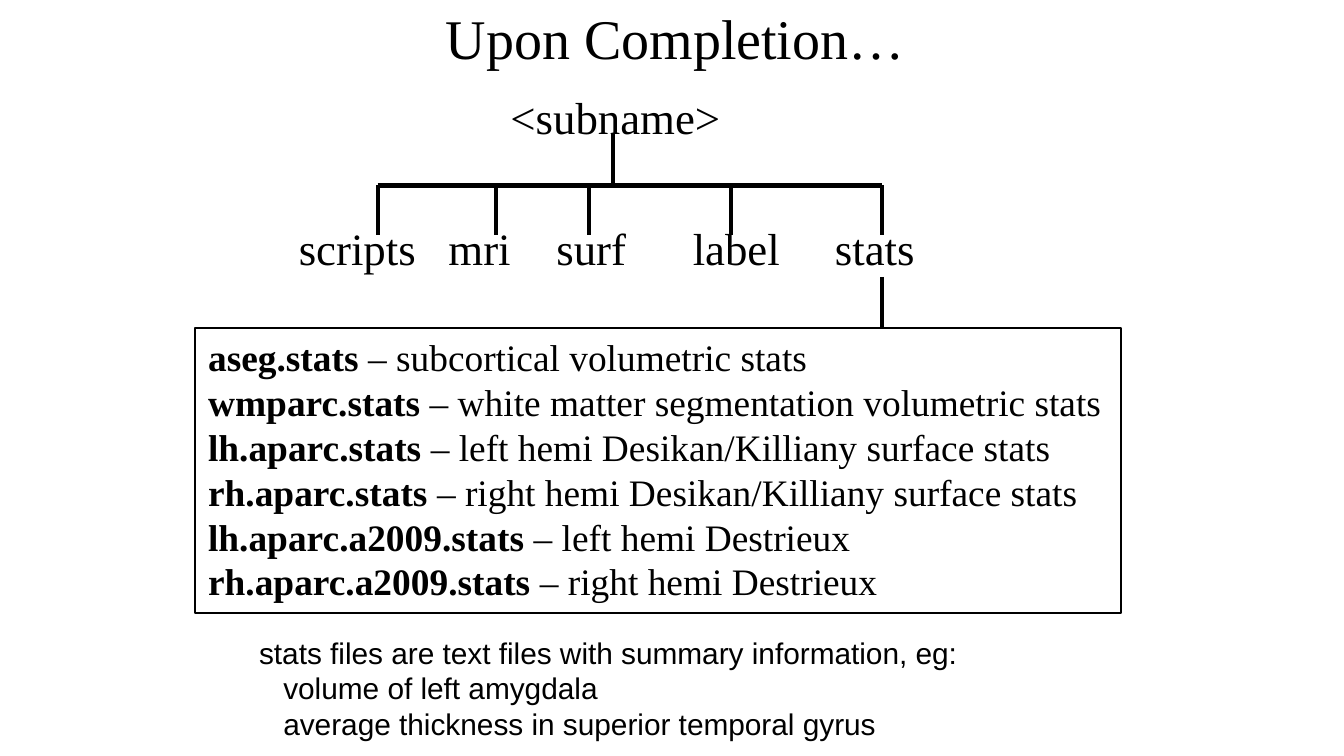
from lxml import etree
from pptx import Presentation
from pptx.dml.color import RGBColor
from pptx.enum import shapes, text
from pptx.oxml.ns import qn
from pptx.util import Inches, Pt

COLORS = {"ink": "000000", "paper": "FFFFFF"}
SERIF, SANS = "Times New Roman", "Arial"

TITLE = "Upon Completion…"
ROOT = ("<subname>", 4.58, 4.56)  # label, label centre, stem x
FOLDERS = [
    ("scripts", 2.66, 2.81),
    ("mri", 3.57, 3.69),
    ("surf", 4.4, 4.38),
    ("label", 5.48, 5.44),
    ("stats", 6.51, 6.56),
]
STATS_FILES = [
    ("aseg.stats", "subcortical volumetric stats"),
    ("wmparc.stats", "white matter segmentation volumetric stats"),
    ("lh.aparc.stats", "left hemi Desikan/Killiany surface stats"),
    ("rh.aparc.stats", "right hemi Desikan/Killiany surface stats"),
    ("lh.aparc.a2009.stats", "left hemi Destrieux"),
    ("rh.aparc.a2009.stats", "right hemi Destrieux"),
]
NOTE = "stats files are text files with summary information, eg:"
EXAMPLES = ["volume of left amygdala", "average thickness in superior temporal gyrus"]

PAGE_WIDTH = 10
INSET = 0.1
TREE_LEFT = 1.38
ROOT_BOTTOM, BRANCH_Y, FOLDER_TOP = 1, 1.38, 1.75
FOLDER_BOTTOM, FILES_TOP = 2.06, 2.44


def color(name):
    return RGBColor.from_string(COLORS[name])


def add_span(para, words, size, font=SERIF, bold=False):
    span = para.add_run()
    span.text = words
    values = {"size": Pt(size), "name": font, "bold": bold}
    for key, value in values.items():
        setattr(span.font, key, value)
    span.font.color.rgb = color("ink")


def add_box(page, place, **frame_values):
    box = page.shapes.add_textbox(*map(Inches, place))
    for key, value in frame_values.items():
        setattr(box.text_frame, key, value)
    return box


def next_para(frame, index):
    return frame.paragraphs[0] if index == 0 else frame.add_paragraph()


def add_tabbed_row(para, labels):
    """Centre each label on its own tab stop."""
    stops = etree.SubElement(para._p.get_or_add_pPr(), qn("a:tabLst"))
    for _, centre, _ in labels:
        offset = Inches(centre - TREE_LEFT - INSET)
        etree.SubElement(stops, qn("a:tab"), pos=str(offset), algn="ctr")
    add_span(para, "".join("\t" + label for label, _, _ in labels), 24)


def add_line(page, x1, y1, x2, y2):
    line = page.shapes.add_connector(
        shapes.MSO_CONNECTOR.STRAIGHT, *map(Inches, (x1, y1, x2, y2)))
    line.line.color.rgb = color("ink")
    line.line.width = Pt(2.25)
    etree.SubElement(line._element.spPr, qn("a:effectLst"))


def add_title(page):
    box = add_box(page, (2.12, -0.19, 5.81, 0.94), word_wrap=True,
                  vertical_anchor=text.MSO_ANCHOR.MIDDLE)
    para = box.text_frame.paragraphs[0]
    para.alignment = text.PP_ALIGN.CENTER
    add_span(para, TITLE, 30)


def add_tree(page):
    box = add_box(page, (TREE_LEFT, 0.62, 7.25, 2.81), word_wrap=True)
    for index, labels in enumerate(([ROOT], FOLDERS)):
        para = next_para(box.text_frame, index)
        if index:
            para.space_before = Pt(41)
        add_tabbed_row(para, labels)

    stems = [x for _, _, x in FOLDERS]
    add_line(page, ROOT[2], ROOT_BOTTOM, ROOT[2], BRANCH_Y)
    add_line(page, stems[0], BRANCH_Y, stems[-1], BRANCH_Y)
    for x in stems:
        add_line(page, x, BRANCH_Y, x, FOLDER_TOP)
    add_line(page, stems[-1], FOLDER_BOTTOM, stems[-1], FILES_TOP)


def add_files(page):
    box = page.shapes.add_shape(
        shapes.MSO_SHAPE.RECTANGLE, *map(Inches, (1.45, FILES_TOP, 6.89, 2.12)))
    box.shadow.inherit = False
    box.fill.background()
    box.line.color.rgb = color("ink")
    box.line.width = Pt(0.75)
    frame = box.text_frame
    frame.word_wrap = False
    frame.auto_size = text.MSO_AUTO_SIZE.SHAPE_TO_FIT_TEXT
    frame.vertical_anchor = text.MSO_ANCHOR.TOP
    for index, (name, meaning) in enumerate(STATS_FILES):
        para = next_para(frame, index)
        para.alignment = text.PP_ALIGN.LEFT
        add_span(para, name, 20, bold=True)
        add_span(para, f" – {meaning}", 20)


def add_note(page):
    box = add_box(page, (1.83, 4.67, 5.47, 0.91), word_wrap=False,
                  auto_size=text.MSO_AUTO_SIZE.SHAPE_TO_FIT_TEXT)
    for index, words in enumerate([NOTE, *EXAMPLES]):
        para = next_para(box.text_frame, index)
        if index:
            para._p.get_or_add_pPr().set("marL", str(Inches(0.18)))
        add_span(para, words, 16, SANS)


def main():
    deck = Presentation()
    deck.slide_width = Inches(PAGE_WIDTH)
    deck.slide_height = Inches(PAGE_WIDTH * 9 / 16)
    page = deck.slides.add_slide(deck.slide_layouts[6])
    page.background.fill.solid()
    page.background.fill.fore_color.rgb = color("paper")
    add_title(page)
    add_tree(page)
    add_files(page)
    add_note(page)
    deck.save("out.pptx")


if __name__ == "__main__":
    main()
